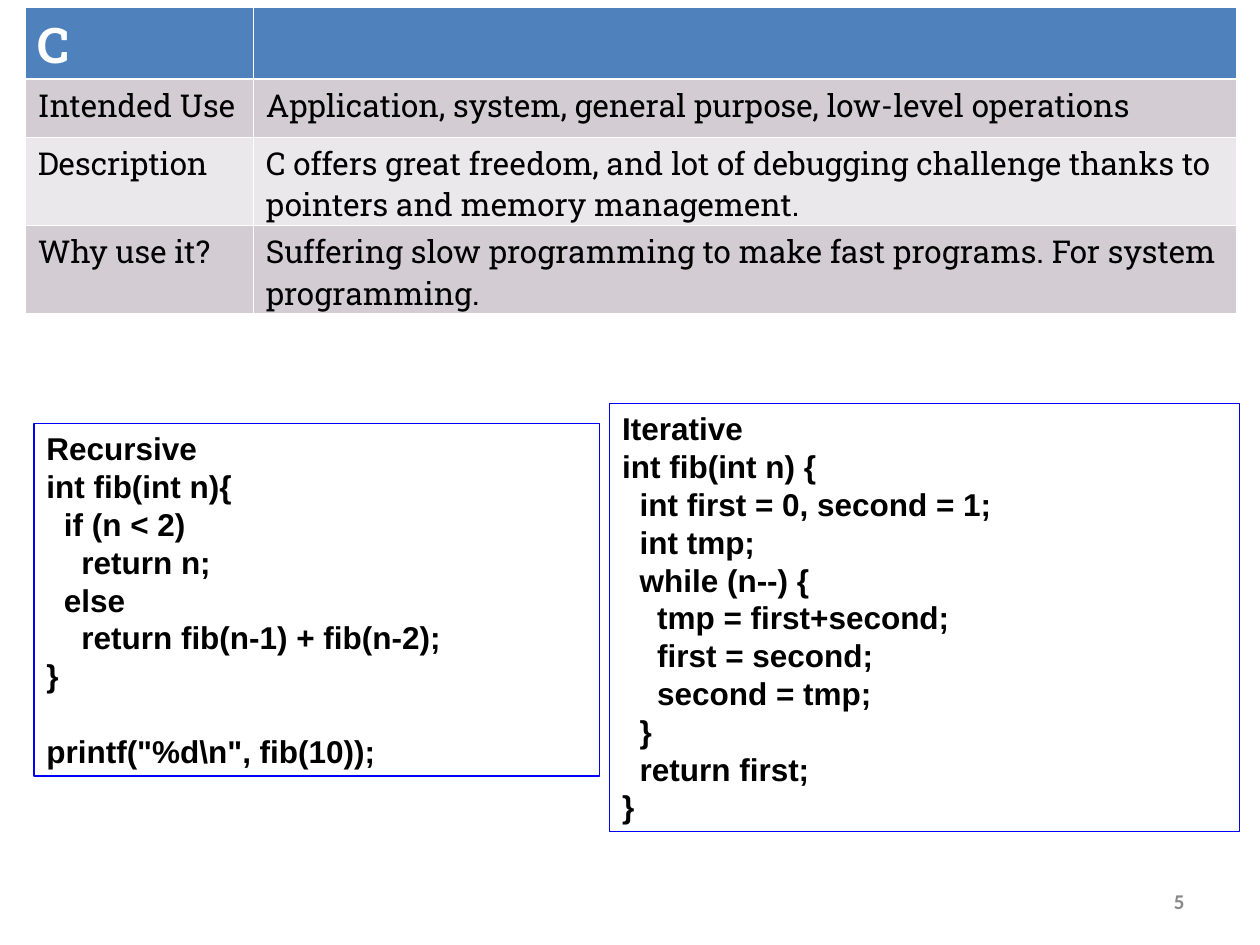
from lxml import etree
from pptx import Presentation
from pptx import util as u
from pptx.dml.color import RGBColor
from pptx.enum import shapes, text
from pptx.oxml.ns import qn

# Content
TABLE_ROWS = [
    ("C", ""),
    ("Intended Use", "Application, system, general purpose, low-level operations"),
    ("Description", "C offers great freedom, and lot of debugging challenge thanks to "
                    "pointers and memory management."),
    ("Why use it?", "Suffering slow programming to make fast programs. "
                    "For system programming."),
]
RECURSIVE = [
    "Recursive",
    "int fib(int n){",
    "  if (n < 2)",
    "    return n;",
    "  else",
    "    return fib(n-1) + fib(n-2);",
    "}",
    'printf("%d\\n", fib(10));',
]
ITERATIVE = [
    "Iterative",
    "int fib(int n) {",
    "  int first = 0, second = 1;",
    "  int tmp;",
    "  while (n--) {",
    "    tmp = first+second;",
    "    first = second;",
    "    second = tmp;",
    "  }",
    "  return first;",
    "}",
]
# Lines, box (left, top, width, height), lines that follow a one-line gap
CODE_BOXES = [
    (RECURSIVE, (0.27, 3.36, 4.49, 2.8), {7}),
    (ITERATIVE, (4.84, 3.2, 5, 3.4), set()),
]
PAGE_NUMBER = "5"
COLUMN_WIDTHS = [1.81, 7.8]
ROW_HEIGHTS = [0.57, 0.46, 0.7, 0.7]

THEME = {
    "header": "4F81BD", "bands": ["D3CDD3", "EAE8EA"], "border": "FFFFFF",
    "outline": "0000FF", "ink": "000000", "muted": "898989", "light": "FFFFFF",
    "slab": "Roboto Slab", "code": "Arial", "number": "Calibri",
    "title_size": 28, "body_size": 18, "number_size": 12,
    "code_pitch": 21.6, "thin": 0.45, "thick": 1.47,
}


def write(frame, lines, *, font, size, color, bold=False,
          align=text.PP_ALIGN.LEFT, pitch=None, gaps=()):
    """Write one paragraph per line; indexes in gaps get a line of space before."""
    frame.word_wrap = True
    for index, line in enumerate(lines):
        paragraph = frame.paragraphs[0] if index == 0 else frame.add_paragraph()
        paragraph.text = line
        paragraph.alignment = align
        paragraph.font.name = font
        paragraph.font.size = u.Pt(size)
        paragraph.font.bold = bold
        paragraph.font.color.rgb = RGBColor.from_string(color)
        if pitch:
            paragraph.line_spacing = u.Pt(pitch)
        if index in gaps:
            paragraph.space_before = u.Pt(pitch)


def set_borders(cell, widths):
    """Draw cell borders; widths are points for left, right, top and bottom."""
    properties = cell._tc.get_or_add_tcPr()
    for position, (tag, width) in enumerate(zip(("lnL", "lnR", "lnT", "lnB"), widths)):
        line = etree.Element(qn(f"a:{tag}"), w=str(u.Pt(width)))
        fill = etree.SubElement(line, qn("a:solidFill"))
        etree.SubElement(fill, qn("a:srgbClr"), val=THEME["border"])
        properties.insert(position, line)


def add_summary_table(slide):
    table = slide.shapes.add_table(
        len(TABLE_ROWS), len(COLUMN_WIDTHS), u.Inches(0.2), u.Inches(0.06),
        u.Inches(sum(COLUMN_WIDTHS)), u.Inches(sum(ROW_HEIGHTS))).table
    for column, width in zip(table.columns, COLUMN_WIDTHS):
        column.width = u.Inches(width)
    for index, (values, height) in enumerate(zip(TABLE_ROWS, ROW_HEIGHTS)):
        table.rows[index].height = u.Inches(height)
        header = index == 0
        fill = THEME["header"] if header else THEME["bands"][(index - 1) % 2]
        top = THEME["thick"] if index == 1 else THEME["thin"]
        bottom = THEME["thick"] if header else THEME["thin"]
        for cell, value in zip(table.rows[index].cells, values):
            cell.fill.solid()
            cell.fill.fore_color.rgb = RGBColor.from_string(fill)
            cell.margin_top, cell.margin_bottom = u.Inches(0.04), 0
            set_borders(cell, (THEME["thin"], THEME["thin"], top, bottom))
            write(cell.text_frame, [value], font=THEME["slab"], bold=header,
                  size=THEME["title_size" if header else "body_size"],
                  color=THEME["light" if header else "ink"])


def add_code_box(slide, lines, box, gaps):
    shape = slide.shapes.add_shape(shapes.MSO_SHAPE.RECTANGLE, *map(u.Inches, box))
    shape.shadow.inherit = False
    shape.fill.background()
    shape.line.color.rgb = RGBColor.from_string(THEME["outline"])
    shape.line.width = u.Pt(0.75)
    shape.text_frame.vertical_anchor = text.MSO_ANCHOR.TOP
    shape.text_frame.auto_size = text.MSO_AUTO_SIZE.SHAPE_TO_FIT_TEXT
    write(shape.text_frame, lines, font=THEME["code"], size=THEME["body_size"],
          color=THEME["ink"], bold=True, pitch=THEME["code_pitch"], gaps=gaps)


def main():
    presentation = Presentation()
    presentation.slide_width, presentation.slide_height = u.Inches(10), u.Inches(7.5)
    slide = presentation.slides.add_slide(presentation.slide_layouts[6])

    # Page number
    number = slide.shapes.add_textbox(*map(u.Inches, (7.17, 6.95, 2.33, 0.4)))
    number.text_frame.vertical_anchor = text.MSO_ANCHOR.MIDDLE
    write(number.text_frame, [PAGE_NUMBER], font=THEME["number"],
          size=THEME["number_size"], color=THEME["muted"], bold=True,
          align=text.PP_ALIGN.RIGHT)

    # Code samples
    for lines, box, gaps in CODE_BOXES:
        add_code_box(slide, lines, box, gaps)

    # Language summary
    add_summary_table(slide)
    presentation.save("out.pptx")


if __name__ == "__main__":
    main()
